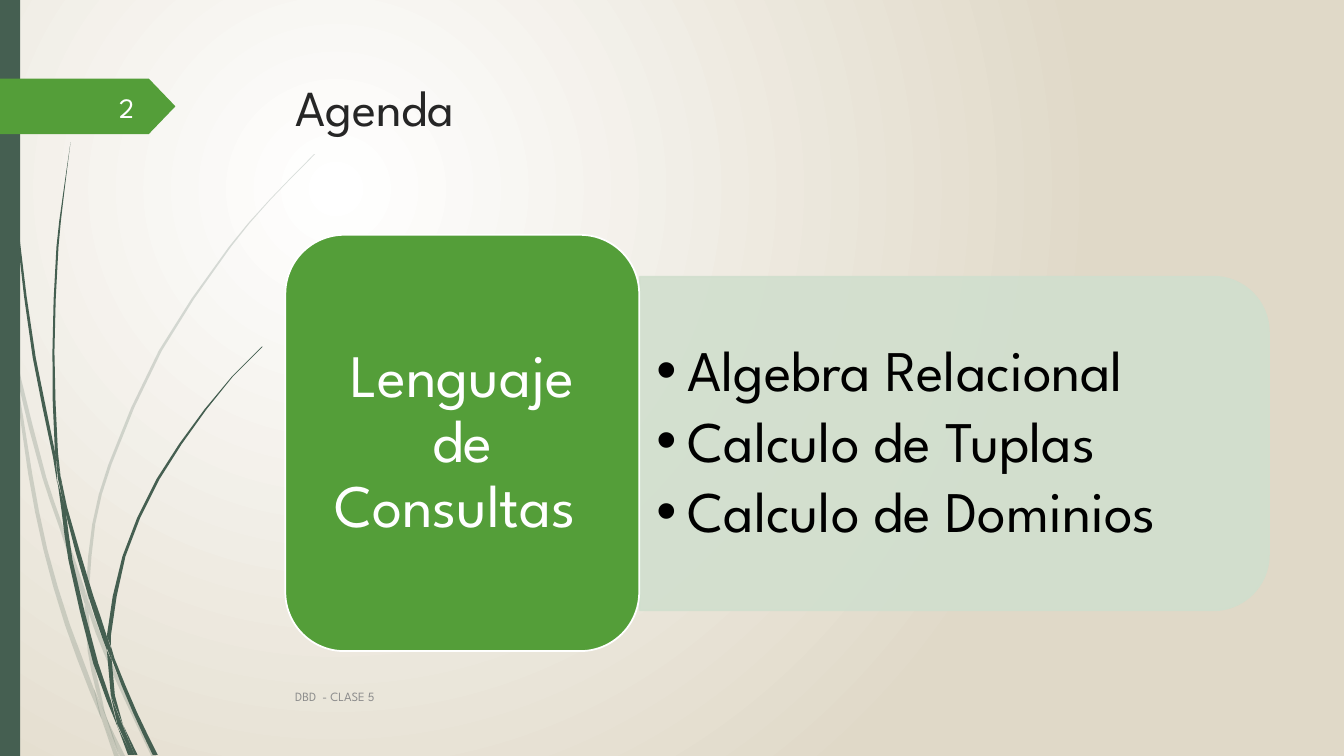
from lxml import etree
from pptx import Presentation
from pptx.dml.color import RGBColor
from pptx.enum.shapes import MSO_SHAPE as Preset
from pptx.enum.text import MSO_ANCHOR as Anchor, MSO_AUTO_SIZE as AutoSize, PP_ALIGN as Align
from pptx.oxml import parse_xml
from pptx.oxml.ns import nsdecls, qn
from pptx.util import Inches, Pt

FONT = "League Spartan"
DARK_GREEN = RGBColor(0x45, 0x5F, 0x51)
GREEN = RGBColor(0x54, 0x9E, 0x39)
PALE_GREEN = RGBColor(0xD1, 0xDF, 0xCE)
WHITE = RGBColor(0xFF, 0xFF, 0xFF)
NUMBER_WHITE = RGBColor(0xFE, 0xFF, 0xFF)
SAND = RGBColor(0xE0, 0xD9, 0xC8)
BLACK = RGBColor(0, 0, 0)
TITLE_GREY = RGBColor(0x26, 0x26, 0x26)
FOOTER_GREY = RGBColor(0x8C, 0x8C, 0x8C)

# Each piece of a grass blade runs along its middle as (centre x, y, horizontal width).
LIGHT_BLADES = [
    [(0, 2.82, 0), (0.02, 2.99, 0.04), (0.07, 3.22, 0.04), (0.11, 3.5, 0)],
    [(0.14, 3.45, 0), (0.19, 3.76, 0.04), (0.44, 4.74, 0.04), (0.6, 5.21, 0.04),
     (0.82, 5.86, 0.05), (0.84, 5.99, 0)],
    [(0.88, 5.96, 0), (0.9, 6.08, 0.04), (1.05, 6.48, 0.04), (1.25, 6.93, 0.04), (1.53, 7.51, 0.05)],
    [(1.05, 7.11, 0), (1.13, 7.31, 0.03), (1.22, 7.51, 0.05)],
    [(0.11, 3.5, 0), (0.16, 3.76, 0.02), (0.3, 4.7, 0.04), (0.45, 5.45, 0.04),
     (0.67, 6.2, 0.05), (0.92, 6.87, 0.05), (1.01, 7.14, 0)],
    [(0.84, 5.99, 0), (0.86, 6.1, 0.04), (0.89, 6.46, 0.04), (0.98, 6.88, 0.04), (1.05, 7.11, 0)],
    [(3.12, 1.53, 0.01), (2.68, 1.98, 0.01), (2.28, 2.45, 0.02), (1.59, 3.48, 0.03),
     (1.09, 4.61, 0.03), (0.93, 5.2, 0.03), (0.87, 5.84, 0.03), (0.88, 5.96, 0)],
    [(1.01, 7.14, 0), (1.16, 7.51, 0.05)],
    [(0.85, 5.86, 0), (0.86, 5.98, 0.04), (0.88, 6.1, 0)],
    [(0.93, 6.83, 0), (1.02, 7.09, 0.06), (1.19, 7.51, 0)],
]
DARK_BLADES = [
    [(0.04, 0, 0.01), (0.05, 0.48, 0.01), (0.08, 1.1, 0.01), (0.18, 2.33, 0.02),
     (0.34, 3.55, 0.03), (0.54, 4.53, 0.03), (0.57, 4.81, 0)],
    [(0.6, 4.72, 0), (0.65, 5.03, 0.03), (0.9, 5.91, 0.05), (1.04, 6.33, 0.05), (1.06, 6.45, 0)],
    [(1.1, 6.41, 0), (1.12, 6.53, 0.03), (1.34, 7.07, 0.04), (1.54, 7.49, 0.05)],
    [(0.57, 4.77, 0), (0.63, 5.06, 0.04), (0.7, 5.56, 0.04), (0.95, 6.58, 0.05),
     (1.08, 6.95, 0.04), (1.17, 7.22, 0)],
    [(0.7, 1.41, 0), (0.63, 1.93, 0.01), (0.57, 2.45, 0.02), (0.53, 3.49, 0.02),
     (0.56, 4.49, 0.03), (0.6, 4.72, 0)],
    [(1.22, 7.19, 0), (1.35, 7.49, 0.03)],
    [(0.55, 4.49, 0), (0.59, 4.75, 0.03), (0.64, 5.05, 0)],
    [(2.6, 3.44, 0.01), (2.31, 3.73, 0.01), (2.04, 4.06, 0.02), (1.57, 4.75, 0.03),
     (1.23, 5.52, 0.03), (1.08, 6.31, 0.04), (1.1, 6.41, 0)],
    [(1.17, 7.22, 0), (1.29, 7.49, 0.04)],
    [(1.06, 6.45, 0), (1.09, 6.56, 0.04), (1.12, 6.9, 0.04), (1.22, 7.19, 0)],
    [(1.06, 6.31, 0), (1.08, 6.43, 0.04), (1.11, 6.56, 0)],
    [(1.1, 6.91, 0), (1.19, 7.19, 0.05), (1.32, 7.49, 0.03)],
]


def set_background(slide):
    """Fill the background with a circular gradient centred towards the upper left."""
    slide.background._cSld.insert(0, parse_xml(
        f'<p:bg {nsdecls("p", "a")}><p:bgPr><a:gradFill rotWithShape="1"><a:gsLst>'
        f'<a:gs pos="0"><a:srgbClr val="{WHITE}"/></a:gs>'
        f'<a:gs pos="100000"><a:srgbClr val="{SAND}"/></a:gs></a:gsLst>'
        '<a:path path="circle"><a:fillToRect l="50000" t="50000" r="100000" b="100000"/></a:path>'
        '</a:gradFill><a:effectLst/></p:bgPr></p:bg>'))


def set_opacity(shape, percent):
    for colour in shape._element.spPr.iter(qn("a:srgbClr")):
        etree.SubElement(colour, qn("a:alpha")).set("val", str(percent * 1000))


def format_shape(shape, fill, line=None, opacity=100):
    shape.shadow.inherit = False
    shape.fill.solid()
    shape.fill.fore_color.rgb = fill
    if line is None:
        shape.line.fill.background()
    else:
        shape.line.color.rgb = line
        shape.line.width = Pt(1.25)
    if opacity < 100:
        set_opacity(shape, opacity)


def place(shape, left, top, width, height):
    shape.left, shape.top = Inches(left), Inches(top)
    shape.width, shape.height = Inches(width), Inches(height)


def add_preset(slide, preset, box, fill, **style):
    shape = slide.shapes.add_shape(preset, *map(Inches, box))
    format_shape(shape, fill, **style)
    return shape


def tangents(points):
    """Return the slope against y of each coordinate, at every point."""
    padded = [points[0], *points, points[-1]]
    return [[(b - a) / (after[1] - before[1]) for a, b in zip(before, after)]
            for before, after in zip(padded, padded[2:])]


def smooth(points):
    """Return the points with a Hermite midpoint added on each long stretch."""
    slopes = tangents(points)
    curve = [points[0]]
    for i, (start, end) in enumerate(zip(points, points[1:])):
        rise = end[1] - start[1]
        if rise > 0.4:
            curve.append([(a + b) / 2 + rise * (m - n) / 8
                          for a, b, m, n in zip(start, end, slopes[i], slopes[i + 1])])
        curve.append(end)
    return curve


def add_blade(slide, spine, opacity):
    curve = smooth(spine)
    left_edge = [(x - width / 2, y) for x, y, width in curve]
    right_edge = [(x + width / 2, y) for x, y, width in reversed(curve)]
    outline = [(Inches(max(x, 0)), Inches(y)) for x, y in left_edge + right_edge]
    builder = slide.shapes.build_freeform(*outline[0])
    builder.add_line_segments(outline[1:], close=True)
    format_shape(builder.convert_to_shape(), DARK_GREEN, opacity=opacity)


def write(shape, *lines, size, colour, align=Align.LEFT, anchor=Anchor.MIDDLE,
          inset=0.1, line_spacing=1, space_after=0, bullet_indent=0):
    frame = shape.text_frame
    frame.word_wrap, frame.auto_size = True, AutoSize.NONE
    frame.vertical_anchor = anchor
    frame.margin_left = frame.margin_right = Inches(inset)
    frame.margin_top = frame.margin_bottom = Inches(0.05)
    frame.text = "\n".join(lines)
    for paragraph in frame.paragraphs:
        paragraph.alignment = align
        paragraph.line_spacing = line_spacing
        paragraph.space_before, paragraph.space_after = Pt(0), Pt(space_after)
        font = paragraph.runs[0].font
        font.name, font.size, font.color.rgb = FONT, Pt(size), colour
        if bullet_indent:
            properties = paragraph._p.get_or_add_pPr()
            properties.set("marL", str(Inches(bullet_indent)))
            properties.set("indent", str(-Inches(bullet_indent)))
            etree.SubElement(properties, qn("a:buChar")).set("char", "•")


def add_text(slide, box, text, **style):
    write(slide.shapes.add_textbox(*map(Inches, box)), text, **style)


def add_decoration(slide):
    for blades, opacity in ((LIGHT_BLADES, 20), (DARK_BLADES, 100)):
        for spine in blades:
            add_blade(slide, spine, opacity)
    add_preset(slide, Preset.RECTANGLE, (0, 0, 0.2, 7.5), DARK_GREEN)
    number_tab = add_preset(slide, Preset.PENTAGON, (0, 0.78, 1.74, 0.55), GREEN)
    number_tab.adjustments[0] = 0.48


def add_agenda(slide, topics):
    panel = add_preset(slide, Preset.ROUND_2_SAME_RECTANGLE, (7.81, 1.28, 3.31, 6.24),
                       PALE_GREEN, line=PALE_GREEN, opacity=90)
    panel.rotation = 90
    place(topics, 6.34, 2.91, 6.08, 2.98)
    write(topics, "Algebra Relacional", "Calculo de Tuplas", "Calculo de Dominios",
          size=41, colour=BLACK, inset=0.17, line_spacing=0.9, space_after=6.2,
          bullet_indent=0.31)
    panel._element.addnext(topics._element)
    add_preset(slide, Preset.ROUNDED_RECTANGLE, (2.83, 2.33, 3.51, 4.13), GREEN, line=WHITE)
    add_text(slide, (3, 2.5, 3.17, 3.79), "Lenguaje de Consultas ", size=43, colour=WHITE,
             align=Align.CENTER, inset=0.18, line_spacing=0.9)


def main():
    presentation = Presentation()
    presentation.slide_width, presentation.slide_height = Inches(13.33), Inches(7.5)
    slide = presentation.slides.add_slide(presentation.slide_layouts[1])
    title, topics = slide.placeholders
    set_background(slide)
    add_decoration(slide)
    place(title, 2.83, 0.7, 9.75, 1.4)
    write(title, "Agenda", size=36, colour=TITLE_GREY, anchor=Anchor.TOP)
    add_agenda(slide, topics)
    add_text(slide, (2.83, 6.71, 8.33, 0.4), "DBD  - CLASE 5", size=9, colour=FOOTER_GREY)
    add_text(slide, (0.58, 0.86, 0.85, 0.4), "2", size=20, colour=NUMBER_WHITE, align=Align.RIGHT)
    presentation.save("out.pptx")


if __name__ == "__main__":
    main()
